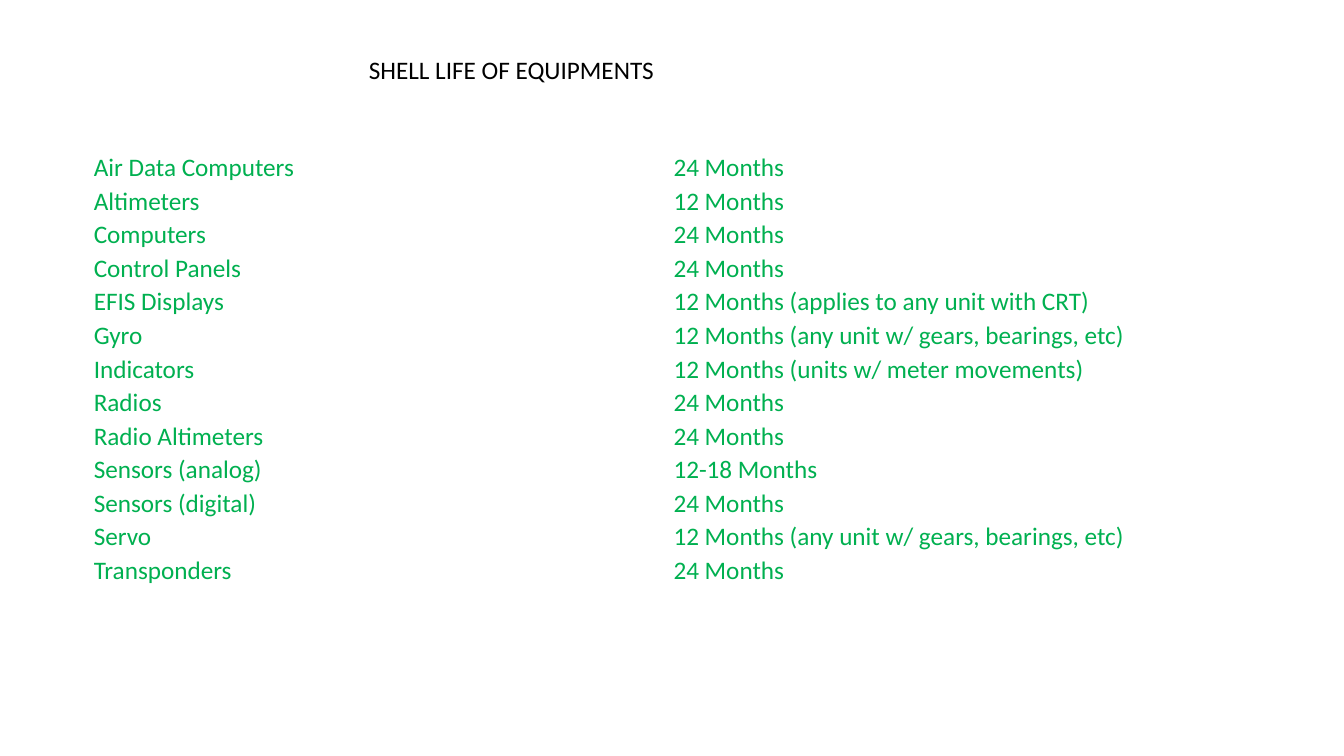
from dataclasses import dataclass

from pptx import Presentation
from pptx.dml.color import RGBColor
from pptx.enum.text import MSO_ANCHOR, MSO_AUTO_SIZE
from pptx.util import Inches, Pt

MIDDLE = MSO_ANCHOR.MIDDLE
GROW = MSO_AUTO_SIZE.SHAPE_TO_FIT_TEXT


@dataclass(frozen=True)
class Theme:
    font: str = "Calibri"
    size: int = 18
    title: str = "000000"
    body: str = "00B050"
    fill: str = "FFFFFF"


THEME = Theme()

GEARS = "12 Months (any unit w/ gears, bearings, etc)"
LIVES = [
    ("Air Data Computers", "24 Months"),
    ("Altimeters", "12 Months"),
    ("Computers", "24 Months"),
    ("Control Panels", "24 Months"),
    ("EFIS Displays", "12 Months (applies to any unit with CRT)"),
    ("Gyro", GEARS),
    ("Indicators", "12 Months (units w/ meter movements)"),
    ("Radios", "24 Months"),
    ("Radio Altimeters", "24 Months"),
    ("Sensors (analog)", "12-18 Months"),
    ("Sensors (digital)", "24 Months"),
    ("Servo", GEARS),
    ("Transponders", "24 Months"),
]


def write(frame, text, color=THEME.body, size=THEME.size):
    """Put one formatted run into a text frame."""
    run = frame.paragraphs[0].add_run()
    run.text = text
    run.font.name = THEME.font
    run.font.size = Pt(size)
    run.font.color.rgb = RGBColor.from_string(color)


def add_title(slide, box, text):
    """Single-line heading that sizes to its text."""
    frame = slide.shapes.add_textbox(*map(Inches, box)).text_frame
    frame.word_wrap = False
    frame.auto_size = GROW
    write(frame, text, color=THEME.title)


def fill_cell(cell, text):
    """Plain cell with hairline margins."""
    cell.fill.solid()
    cell.fill.fore_color.rgb = RGBColor.from_string(THEME.fill)
    cell.vertical_anchor = MIDDLE
    cell.margin_left = cell.margin_right = Inches(0.01)
    cell.margin_top = cell.margin_bottom = Inches(0.01)
    write(cell.text_frame, text)


def add_lives(slide, box, data):
    """Table of equipment and shelf life, with equal rows and columns."""
    shape = slide.shapes.add_table(len(data), len(data[0]), *map(Inches, box))
    table = shape.table
    table.first_row = False
    table.horz_banding = False
    for r, row in enumerate(data):
        for c, text in enumerate(row):
            fill_cell(table.cell(r, c), text)


def main():
    deck = Presentation()
    deck.slide_width = Inches(13.33)
    deck.slide_height = Inches(7.5)
    slide = deck.slides.add_slide(deck.slide_layouts[6])

    # Table, then heading
    add_lives(slide, (0.92, 1.5, 11.5, 4.33), LIVES)
    add_title(slide, (3.56, 0.49, 3.06, 0.4), "SHELL LIFE OF EQUIPMENTS")

    deck.save("out.pptx")


if __name__ == "__main__":
    main()
